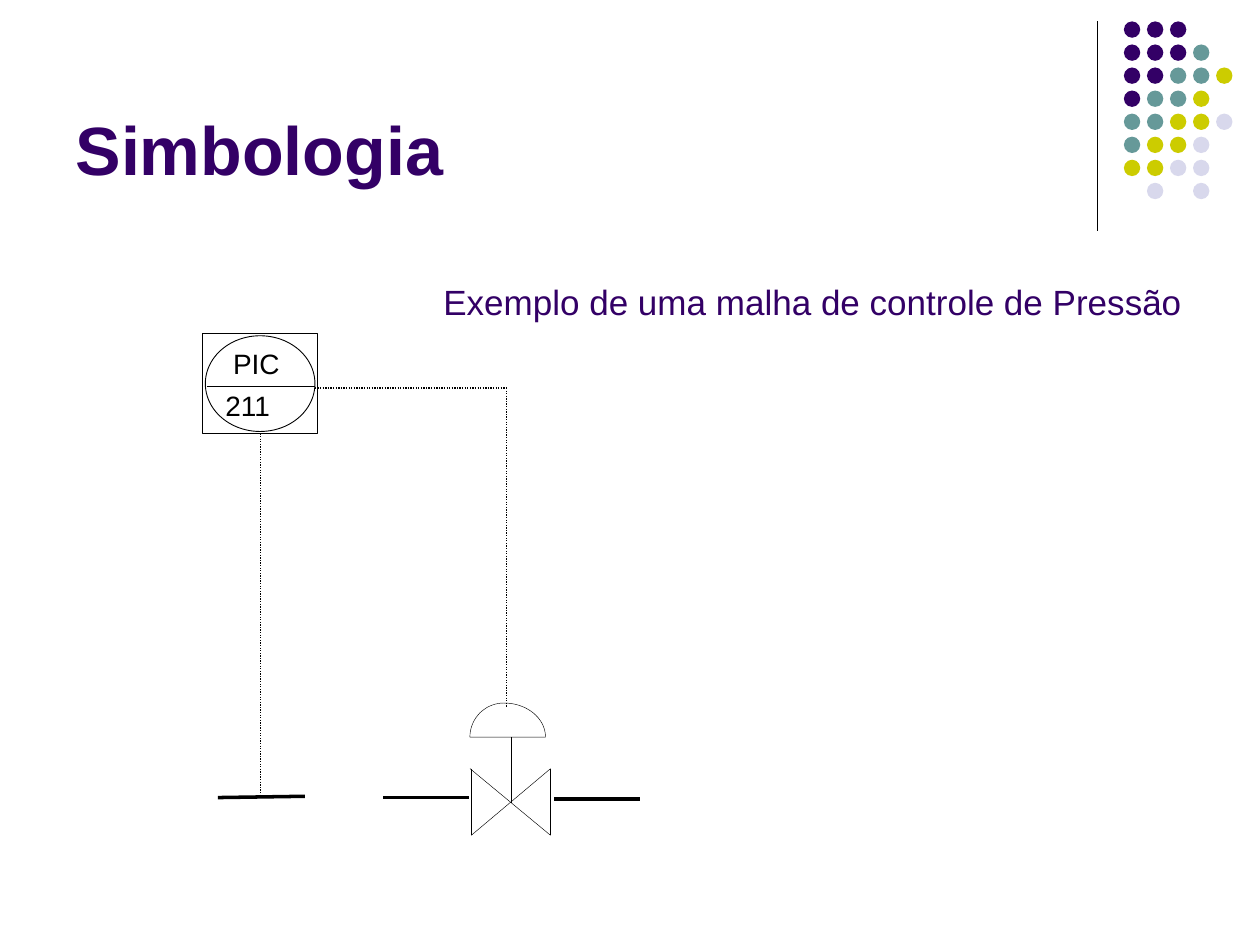
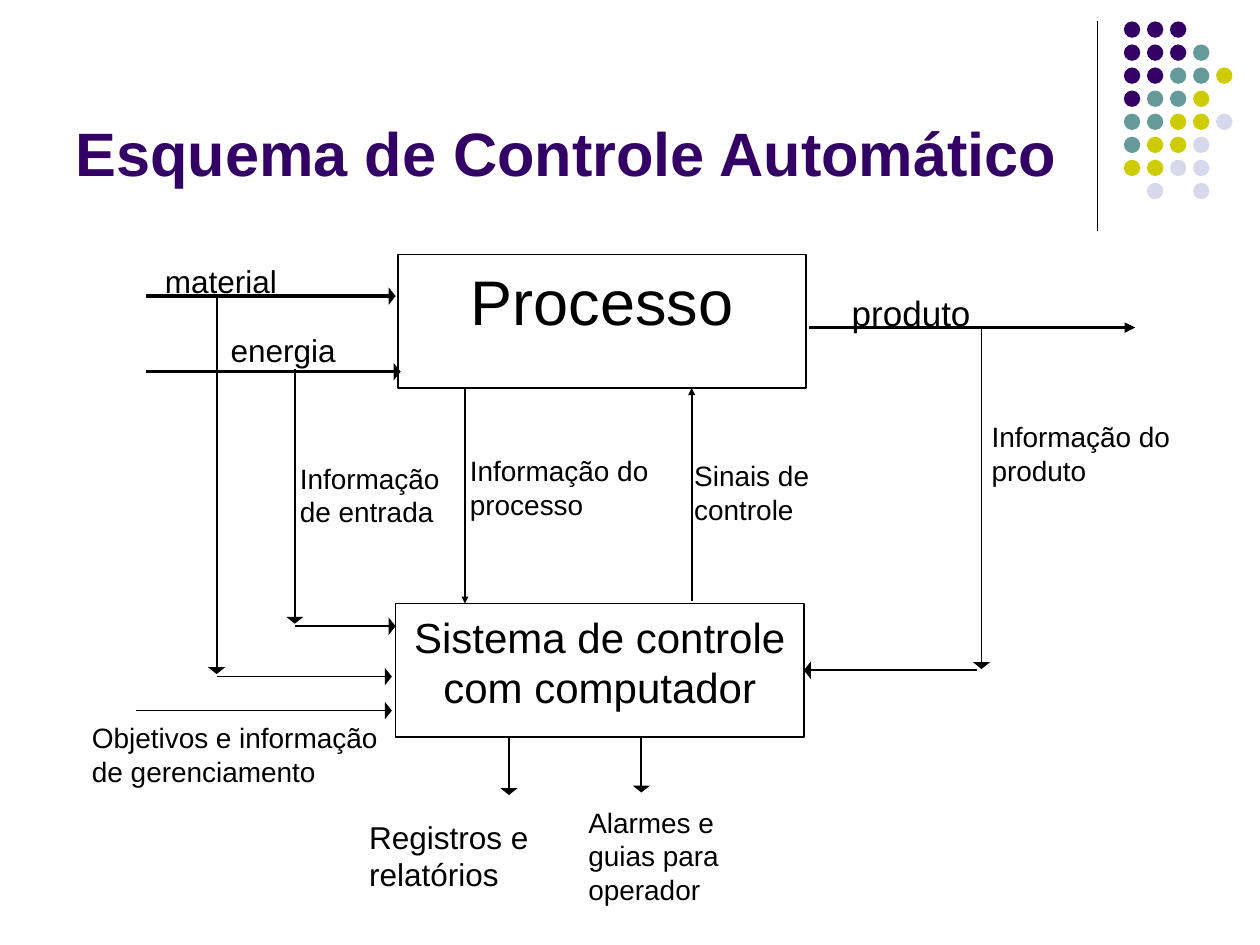
"""Build two slides on control loops: a pressure loop and an automatic control scheme."""
import math
from dataclasses import dataclass

from pptx import Presentation
from pptx import util as u
from pptx.dml.color import RGBColor
from pptx.enum import dml, shapes, text
from pptx.oxml.ns import qn
from lxml import etree


@dataclass(frozen=True)
class Theme:
    """Colours, type sizes in points and line widths in points."""
    font: str = "Arial"
    ink: str = "000000"
    purple: str = "330066"
    teal: str = "669999"
    lime: str = "CCCC00"
    mist: str = "D8D8EC"
    title: int = 39
    long_title: int = 35
    process: int = 36
    system: int = 24
    large: int = 20
    medium: int = 18
    small: int = 16
    hairline: float = 0.25
    thin: float = 0.5
    fine: float = 0.75
    normal: float = 1
    heavy: float = 2


THEME = Theme()
COLUMNS, ROWS = 100, 75
SLIDE_WIDTH, SLIDE_HEIGHT = u.Inches(10), u.Inches(7.5)
SMALL_HEAD, MEDIUM_HEAD, WIDE_HEAD = ("sm", "sm"), ("med", "med"), ("lg", "sm")
DOTS = ("PPP", "PPPT", "PPTTL", "PTTL", "TTLLM", "TLLM", "LLMM", " M M")
DOT_COLORS = {"P": THEME.purple, "T": THEME.teal, "L": THEME.lime, "M": THEME.mist}


def set_values(target, values):
    """Set each attribute named in a dict of format values."""
    for name, value in values.items():
        setattr(target, name, value)


def set_outline(line, width, dash=None):
    """Give a line the ink colour, a width and an optional dash."""
    line.color.rgb = RGBColor.from_string(THEME.ink)
    line.width = u.Pt(width)
    if dash:
        line.dash_style = dash


def write(frame, content, size, color=THEME.ink, inset=0.06, **values):
    """Write one formatted paragraph in a text frame."""
    settings = {"word_wrap": True, "auto_size": text.MSO_AUTO_SIZE.NONE,
                "vertical_anchor": text.MSO_ANCHOR.TOP}
    settings |= {f"margin_{side}": u.Inches(inset) for side in ("left", "top", "right", "bottom")}
    set_values(frame, settings | values)
    frame.text = content
    paragraph = frame.paragraphs[0]
    paragraph.alignment = text.PP_ALIGN.LEFT
    set_values(paragraph.font, {"name": THEME.font, "size": u.Pt(size)})
    paragraph.font.color.rgb = RGBColor.from_string(color)
    return paragraph


@dataclass
class Region:
    """A box on the slide grid that places its parts from its own corner."""
    slide: object
    left: float
    top: float
    width: float
    height: float

    def point(self, column, row):
        """Turn a place in the region into slide lengths."""
        return (round((self.left + column) * SLIDE_WIDTH / COLUMNS),
                round((self.top + row) * SLIDE_HEIGHT / ROWS))

    def frame(self, column, row, width, height):
        """Turn a box in the region into slide lengths."""
        return (*self.point(column, row), round(width * SLIDE_WIDTH / COLUMNS),
                round(height * SLIDE_HEIGHT / ROWS))

    def shape(self, kind, box, fill=None, width=None):
        """Add a preset shape with a plain fill or an outline."""
        shape = self.slide.shapes.add_shape(kind, *self.frame(*box))
        shape.shadow.inherit = False
        if fill:
            shape.fill.solid()
            shape.fill.fore_color.rgb = RGBColor.from_string(fill)
        else:
            shape.fill.background()
        if width:
            set_outline(shape.line, width)
        else:
            shape.line.fill.background()
        return shape

    def block(self, box, content, size):
        """Add an outlined rectangle with centred text."""
        shape = self.shape(shapes.MSO_SHAPE.RECTANGLE, box, width=THEME.normal)
        write(shape.text_frame, content, size).alignment = text.PP_ALIGN.CENTER
        return shape

    def label(self, box, content, size=THEME.small, **values):
        """Add a text box."""
        textbox = self.slide.shapes.add_textbox(*self.frame(*box))
        write(textbox.text_frame, content, size, **values)

    def line(self, start, end, width=THEME.normal, dash=None, head=None):
        """Add a straight connector, with an arrowhead where one is given."""
        connector = self.slide.shapes.add_connector(
            shapes.MSO_CONNECTOR.STRAIGHT, *self.point(*start), *self.point(*end))
        set_outline(connector.line, width, dash)
        properties = connector.element.spPr
        if head:
            outline = properties.find(qn("a:ln"))
            etree.SubElement(outline, qn("a:tailEnd"), type="triangle", w=head[0], len=head[1])
        etree.SubElement(properties, qn("a:effectLst"))
        return connector


def add_ornament(region):
    """Draw the rule and the dot pattern of the top right corner."""
    region.line((0, 0), (0, region.height), THEME.fine)
    diameter, pitch, offset = 1.3, 1.83, 2.1
    for row, codes in enumerate(DOTS):
        for column, code in enumerate(codes):
            if code in DOT_COLORS:
                region.shape(shapes.MSO_SHAPE.OVAL,
                             (offset + column * pitch, row * pitch, diameter, diameter),
                             fill=DOT_COLORS[code])


def add_titled_slide(presentation, content, size):
    """Add a slide with the shared title style and ornament."""
    slide = presentation.slides.add_slide(presentation.slide_layouts[5])
    add_ornament(Region(slide, 87.1, 1.7, 10.7, 16.6))
    title = slide.shapes.title
    box = Region(slide, 5, 1.3, 82.5, 14.2).frame(0, 0, 82.5, 14.2)
    set_values(title, dict(zip(("left", "top", "width", "height"), box)))
    paragraph = write(title.text_frame, content, size, THEME.purple, inset=0.1,
                      margin_top=u.Inches(0.05), margin_bottom=u.Inches(0.05),
                      vertical_anchor=text.MSO_ANCHOR.BOTTOM)
    paragraph.font.bold = True
    return slide


def add_controller(region):
    """Draw the PIC 211 balloon and return its square frame."""
    region.shape(shapes.MSO_SHAPE.OVAL, (0.2, 0.15, 8.7, 7.6), width=THEME.thin)
    region.line((0.3, 4.2), (8.9, 4.2), THEME.thin)
    square = region.shape(shapes.MSO_SHAPE.RECTANGLE, (0, 0, region.width, region.height),
                          width=THEME.thin)
    for column, row, content in ((2.3, 0.9, "PIC"), (1.7, 4.2, "211")):
        region.label((column, row, 5.4, 3.2), content, inset=0.01)
    return square


def add_valve(region):
    """Draw a control valve with its domed actuator."""
    width, height = region.width, region.height
    body, dome, peak, right = 5.2, 2.7, 2.7, 6
    for start, end in (((width, body), (0.1, height)), ((width, height), (0, body)),
                       ((0.1, body), (0.1, height)), ((width, body), (width, height)),
                       ((3.25, dome), (3.25, 7.9))):
        region.line(start, end, THEME.hairline)
    outline = []
    for degrees in range(180, -1, -5):
        angle = math.radians(degrees)
        radius = peak if degrees > 90 else right - peak
        outline.append(region.point(peak + radius * math.cos(angle), dome * (1 - math.sin(angle))))
    builder = region.slide.shapes.build_freeform(*outline[0])
    builder.add_line_segments(outline[1:], close=True)
    actuator = builder.convert_to_shape()
    actuator.shadow.inherit = False
    actuator.fill.background()
    set_outline(actuator.line, THEME.hairline)


def add_loop_lines(region, controller):
    """Draw the dotted signals and the heavy pipes of the pressure loop."""
    dotted = {"width": THEME.fine, "dash": dml.MSO_LINE.ROUND_DOT}
    region.line((4.55, 8), (4.55, 36.8), **dotted).begin_connect(controller, 2)
    region.line((8.9, 4.3), (24.1, 4.3), **dotted)
    region.line((24.1, 4.5), (24.1, 29.6), **dotted)
    for start, row, end, end_row in ((1.2, 36.8, 8.1, 36.7), (14.3, 36.8, 21.1, 36.8),
                                     (27.9, 36.9, 34.7, 36.9)):
        region.line((start, row), (end, end_row), THEME.heavy)


def add_inputs(region):
    """Draw the feeds, their information branches and the management goals."""
    for row, end in ((3.3, 20.6), (9.3, 21)):
        region.line((0.8, row), (end, row), THEME.heavy, head=WIDE_HEAD)
    for column, top, bottom, end in ((6.4, 3.3, 33.3, 20.3), (12.6, 9.1, 29.3, 20.6)):
        region.line((column, top), (column, bottom), head=WIDE_HEAD)
        region.line((column, bottom + 0.2), (end, bottom + 0.2), head=WIDE_HEAD)
    region.line((0, 36.2), (20.3, 36.2), head=WIDE_HEAD)
    region.label((1.7, 0, 14.6, 4.6), "material", THEME.medium)
    region.label((6.9, 5.5, 11.4, 4), "energia", THEME.medium)
    region.label((12.4, 15.8, 13.5, 9.2), "Informação de entrada")
    region.label((-4.1, 36.4, 25.5, 9), "Objetivos e informação de gerenciamento")


def add_exchange(region):
    """Draw the process above the control system, with signals between, and return the system."""
    block_height = 10.6
    system_top = region.height - block_height
    region.block((0.2, 0, 32.4, block_height), "Processo", THEME.process)
    system = region.block((0, system_top, 32.4, block_height),
                          "Sistema de controle com computador", THEME.system)
    region.line((5.5, block_height), (5.5, system_top), head=SMALL_HEAD)
    region.line((23.5, system_top - 0.2), (23.5, block_height), head=SMALL_HEAD)
    region.label((5.3, 15.2, 16.3, 7.7), "Informação do processo")
    region.label((23.1, 15.6, 16.5, 7.1), "Sinais de controle")
    return system


def add_product(region, system):
    """Draw the product flow and its information returning to the system."""
    region.line((0.2, 3.5), (26.1, 3.5), THEME.heavy, head=MEDIUM_HEAD)
    region.line((13.9, 3.5), (13.9, 30.6), head=WIDE_HEAD)
    region.line((13.5, 30.7), (0, 30.7), head=WIDE_HEAD).end_connect(system, 3)
    region.label((3, 0, 16.7, 4.2), "produto", THEME.large)
    region.label((14.1, 10.2, 21.9, 7.1), "Informação do produto")


def add_outputs(region):
    """Draw the reports and alarms below the control system."""
    region.line((11.7, 0), (11.7, 4.6), head=WIDE_HEAD)
    region.line((22.2, 0), (22.2, 4.4), head=WIDE_HEAD)
    region.label((0, 5.8, 15.9, 6.4), "Registros e relatórios", THEME.medium)
    region.label((17.4, 4.8, 15.7, 9), "Alarmes e guias para operador")


def build_symbols_slide(presentation):
    """Build the slide with the pressure control loop."""
    slide = add_titled_slide(presentation, "Simbologia", THEME.title)
    controller = add_controller(Region(slide, 16.1, 26.5, 9.1, 7.9))
    add_loop_lines(Region(slide, 16.1, 26.5, 34.7, 36.9), controller)
    add_valve(Region(slide, 37.3, 55.8, 6.4, 10.5))
    Region(slide, 34.2, 21.8, 61.4, 4.4).label(
        (0, 0, 61.4, 4.4), "Exemplo de uma malha de controle de Pressão", THEME.large,
        color=THEME.purple, inset=0.1, margin_top=u.Inches(0.05),
        margin_bottom=u.Inches(0.05), word_wrap=False)


def build_scheme_slide(presentation):
    """Build the slide with the automatic control scheme."""
    slide = add_titled_slide(presentation, "Esquema de Controle Automático", THEME.long_title)
    system = add_exchange(Region(slide, 31.4, 20.2, 32.6, 38.3))
    add_inputs(Region(slide, 10.8, 20.2, 21, 45.4))
    add_product(Region(slide, 64, 22.5, 36, 30.7), system)
    add_outputs(Region(slide, 28.7, 58.5, 33.1, 13.8))


def main():
    """Build the presentation and save it."""
    presentation = Presentation()
    set_values(presentation, {"slide_width": SLIDE_WIDTH, "slide_height": SLIDE_HEIGHT})
    build_symbols_slide(presentation)
    build_scheme_slide(presentation)
    presentation.save("out.pptx")


if __name__ == "__main__":
    main()
